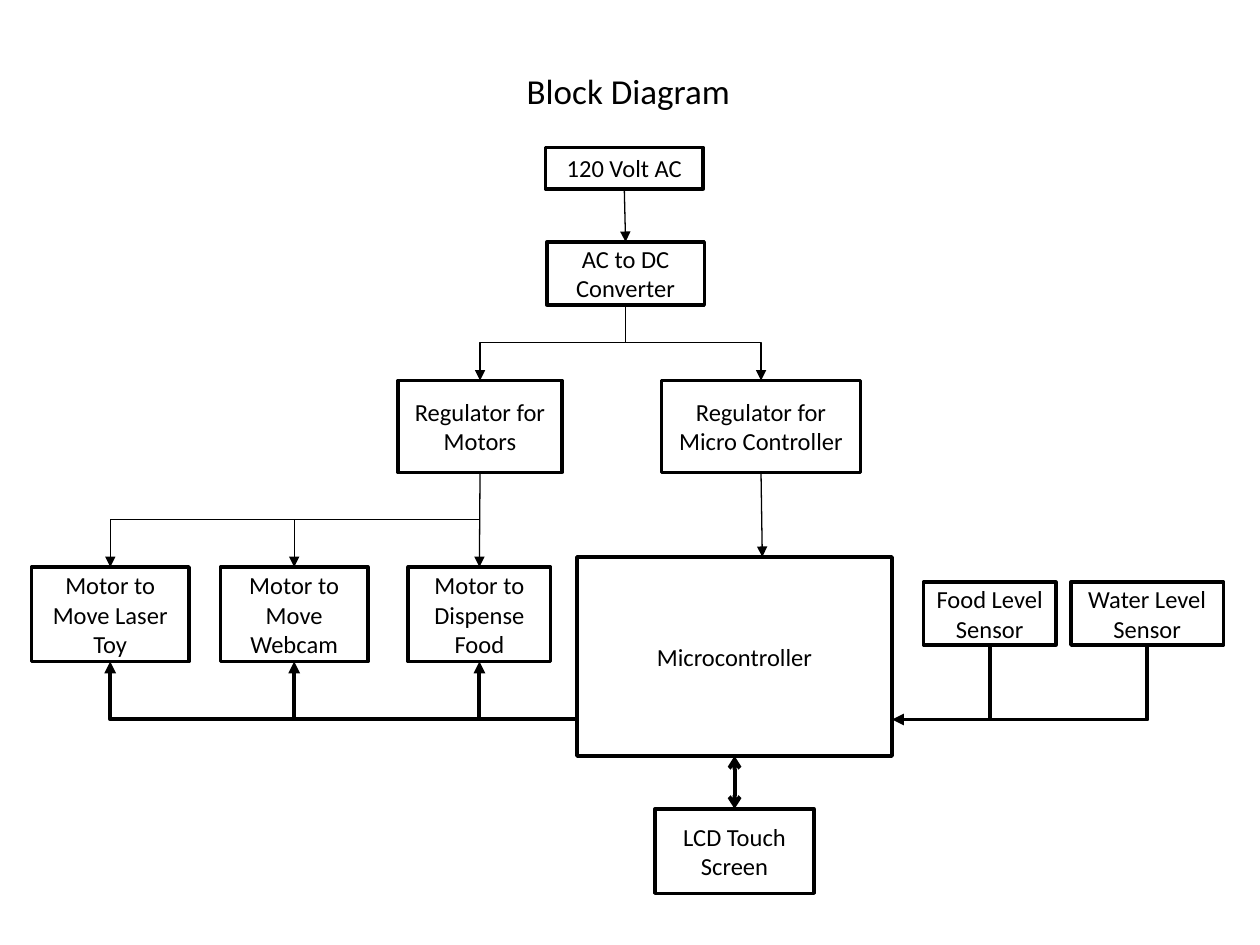
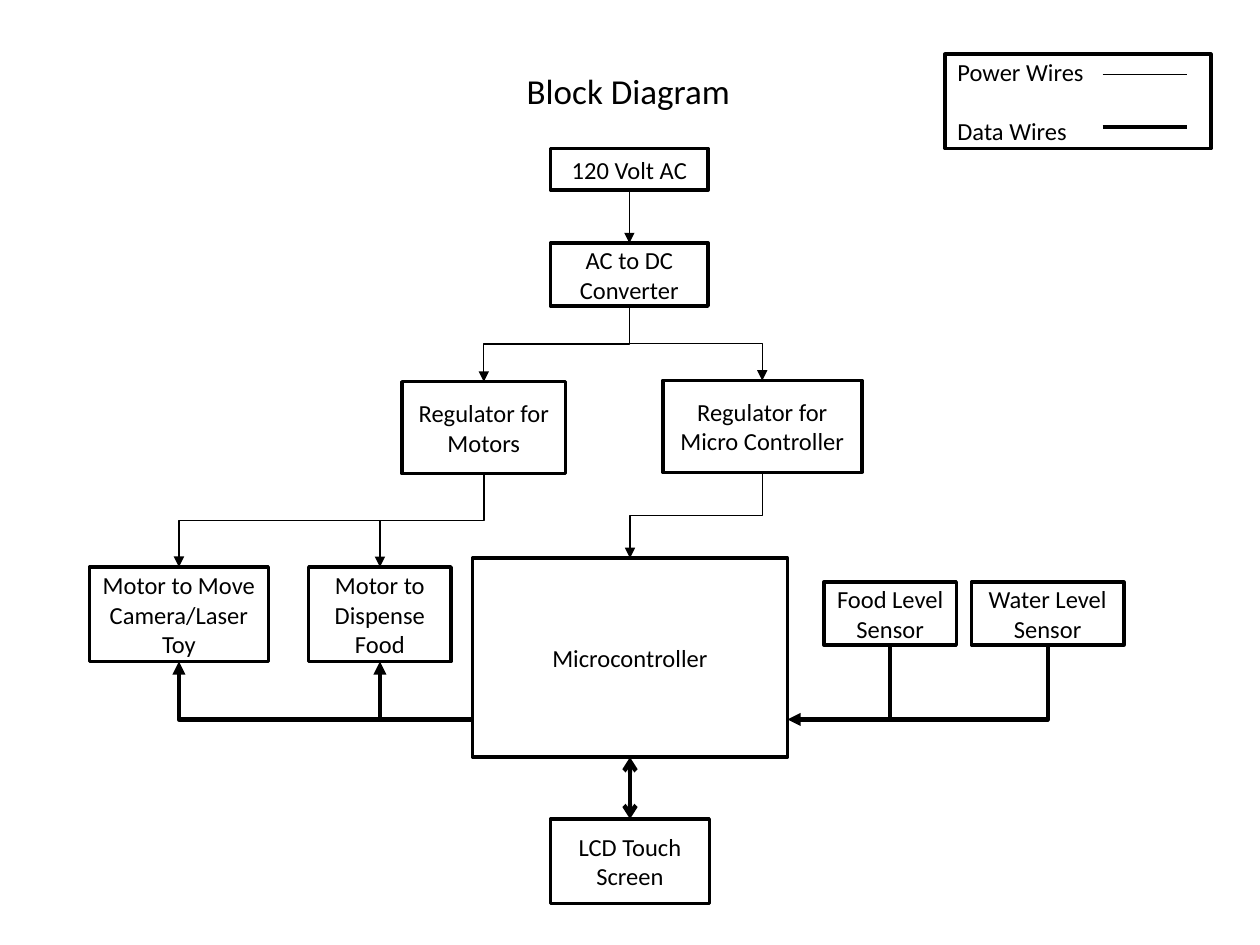
from lxml.etree import SubElement
from pptx import Presentation
from pptx.dml.color import RGBColor
from pptx.enum.shapes import MSO_CONNECTOR as WIRE, MSO_SHAPE
from pptx.enum.text import MSO_ANCHOR, MSO_AUTO_SIZE, PP_ALIGN
from pptx.oxml.ns import qn
from pptx.util import Inches, Pt

BLACK, WHITE = "000000", "FFFFFF"
FONT = "Calibri"
POWER_WIDTH = 0.75
DATA_BUS = 5.71
SUPPLY, CONVERTER, CONTROLLER = "120 Volt AC", "AC to DC Converter", "Microcontroller"
MOTOR_REG, MICRO_REG = "Regulator for Motors", "Regulator for Micro Controller"
FOOD, WATER, SCREEN = "Food Level Sensor", "Water Level Sensor", "LCD Touch Screen"
LASER, WEBCAM, DISPENSER = "Motor to Move Laser Toy", "Motor to Move Webcam", "Motor to Dispense Food"
CAMERA_LASER = "Motor to Move Camera/Laser Toy"

DIAGRAMS = [
    {
        "blocks": {
            SUPPLY: (4.33, 1.17, 1.25, 0.33),
            CONVERTER: (4.34, 1.92, 1.25, 0.5),
            CONTROLLER: (4.58, 4.42, 2.5, 1.58),
            MICRO_REG: (5.25, 3.02, 1.58, 0.73),
            MOTOR_REG: (3.16, 3.02, 1.3, 0.73),
            LASER: (0.25, 4.5, 1.25, 0.75),
            WEBCAM: (1.75, 4.5, 1.17, 0.75),
            DISPENSER: (3.24, 4.5, 1.13, 0.75),
            FOOD: (7.33, 4.62, 1.05, 0.5),
            WATER: (8.5, 4.62, 1.21, 0.5),
            SCREEN: (5.2, 6.42, 1.26, 0.67),
        },
        "motors": [LASER, WEBCAM, DISPENSER],
        "controller_feed": 6.05,
        "data_width": 2.25,
        "legend": None,
    },
    {
        "blocks": {
            SUPPLY: (4.37, 1.18, 1.25, 0.33),
            CONVERTER: (4.37, 1.93, 1.25, 0.5),
            CONTROLLER: (3.75, 4.43, 2.5, 1.58),
            MICRO_REG: (5.26, 3.02, 1.58, 0.73),
            MOTOR_REG: (3.19, 3.03, 1.3, 0.73),
            CAMERA_LASER: (0.71, 4.5, 1.42, 0.75),
            DISPENSER: (2.45, 4.5, 1.13, 0.75),
            FOOD: (6.54, 4.62, 1.05, 0.5),
            WATER: (7.71, 4.62, 1.21, 0.5),
            SCREEN: (4.37, 6.5, 1.26, 0.67),
        },
        "motors": [CAMERA_LASER, DISPENSER],
        "controller_feed": 5,
        "data_width": 2.5,
        "legend": ["Power Wires", "Data Wires"],
    },
]


def color(hex_code):
    """Turn a hex string into a colour."""
    return RGBColor.from_string(hex_code)


def style(paragraph, size, align):
    """Give a paragraph the shared font and its alignment."""
    paragraph.alignment = align
    paragraph.font.name = FONT
    paragraph.font.size = Pt(size)
    paragraph.font.color.rgb = color(BLACK)


def add_title(slide, text):
    """Place and format the title placeholder."""
    title = slide.shapes.title
    title.left, title.top, title.width, title.height = map(Inches, (4.08, 0.5, 1.83, 0.44))
    frame = title.text_frame
    frame.text = text
    frame.word_wrap = False
    frame.auto_size = MSO_AUTO_SIZE.SHAPE_TO_FIT_TEXT
    frame.vertical_anchor = MSO_ANCHOR.TOP
    style(frame.paragraphs[0], 20, PP_ALIGN.LEFT)


def add_block(slide, lines, place, align=PP_ALIGN.CENTER):
    """Draw an outlined block with one paragraph per line."""
    block = slide.shapes.add_shape(MSO_SHAPE.RECTANGLE, *map(Inches, place))
    block.shadow.inherit = False
    block.fill.solid()
    block.fill.fore_color.rgb = color(WHITE)
    block.line.color.rgb = color(BLACK)
    block.line.width = Pt(2)
    frame = block.text_frame
    frame.word_wrap = True
    frame.vertical_anchor = MSO_ANCHOR.MIDDLE
    frame.text = "\n".join(lines)
    for paragraph in frame.paragraphs:
        style(paragraph, 14, align)
    for paragraph in frame.paragraphs[1:]:
        paragraph.space_before = Pt(17)


def finish_wire(wire, width, head, tail):
    """Set line, arrowheads and the empty effect list of a wire."""
    wire.line.color.rgb = color(BLACK)
    wire.line.width = Pt(width)
    line = wire.line._get_or_add_ln()
    for tag, end in (("a:headEnd", head), ("a:tailEnd", tail)):
        if end:
            SubElement(line, qn(tag)).set("type", end)
    SubElement(wire._element.spPr, qn("a:effectLst"))


def add_straight(slide, start, end, width, head=None, tail="triangle"):
    """Draw a straight wire."""
    wire = slide.shapes.add_connector(WIRE.STRAIGHT, *map(Inches, (*start, *end)))
    finish_wire(wire, width, head, tail)


def add_bent(slide, start, end, width, leaving="down", bends=2):
    """Draw an elbow wire that leaves its start down or to the left."""
    (x1, y1), (x2, y2) = start, end
    across, along = abs(x2 - x1), abs(y2 - y1)
    down = leaving == "down"
    w, h = (along, across) if down else (across, along)
    left, top = (x1 + x2 - w) / 2, (y1 + y2 - h) / 2
    mirrored = x2 > x1 if down else y2 > y1
    first, last = (top + h, top) if mirrored else (top, top + h)
    wire = slide.shapes.add_connector(WIRE.ELBOW, *map(Inches, (left, first, left + w, last)))
    properties = wire._element.spPr
    properties.find(qn("a:xfrm")).set("rot", str((90 if down else 180) * 60000))
    properties.find(qn("a:prstGeom")).set("prst", f"bentConnector{bends + 1}")
    finish_wire(wire, width, None, "triangle")


def add_flow(slide, start, end):
    """Draw a power wire downwards, bent only when the ends are apart."""
    draw = add_straight if abs(start[0] - end[0]) < 0.05 else add_bent
    draw(slide, start, end, POWER_WIDTH)


def add_wires(slide, blocks, motors, controller_feed, data_width):
    """Connect the blocks with power and data wires."""
    def top(name):
        x, y, w, _ = blocks[name]
        return x + w / 2, y

    def bottom(name):
        x, y, w, h = blocks[name]
        return x + w / 2, y + h

    for source, target in ((SUPPLY, CONVERTER), (CONVERTER, MICRO_REG), (CONVERTER, MOTOR_REG)):
        add_flow(slide, bottom(source), top(target))
    box_left, box_top, box_width, _ = blocks[CONTROLLER]
    add_flow(slide, bottom(MICRO_REG), (controller_feed, box_top))

    far, *near = motors
    source = bottom(MOTOR_REG)
    power_bus = (source[1] + top(far)[1]) / 2
    trunk = top(near[-1])
    taps = near
    if abs(trunk[0] - source[0]) < 0.05:
        add_flow(slide, source, trunk)
        add_bent(slide, (trunk[0], power_bus), top(far), POWER_WIDTH, "left", 1)
        taps = near[:-1]
    else:
        add_flow(slide, source, top(far))
    for motor in taps:
        add_straight(slide, (top(motor)[0], power_bus), top(motor), POWER_WIDTH)

    add_bent(slide, (box_left, DATA_BUS), bottom(far), data_width, "left", 1)
    for motor in near:
        add_straight(slide, (bottom(motor)[0], DATA_BUS), bottom(motor), data_width)
    add_bent(slide, bottom(WATER), (box_left + box_width, DATA_BUS), data_width, "down", 1)
    add_straight(slide, bottom(FOOD), (bottom(FOOD)[0], DATA_BUS), data_width, tail=None)
    add_straight(slide, top(SCREEN), bottom(CONTROLLER), data_width, "arrow", "arrow")


def add_legend(slide, labels, data_width):
    """Draw the key to the wire widths."""
    add_block(slide, labels, (7.5, 0.43, 2.11, 0.75), PP_ALIGN.LEFT)
    for y, width in ((0.59, POWER_WIDTH), (1.01, data_width)):
        add_straight(slide, (8.75, y), (9.42, y), width, tail=None)


deck = Presentation()
deck.slide_width, deck.slide_height = Inches(10), Inches(7.5)
for diagram in DIAGRAMS:
    page = deck.slides.add_slide(deck.slide_layouts[5])
    add_title(page, "Block Diagram")
    for label, place in diagram["blocks"].items():
        add_block(page, [label], place)
    add_wires(page, diagram["blocks"], diagram["motors"], diagram["controller_feed"], diagram["data_width"])
    if diagram["legend"]:
        add_legend(page, diagram["legend"], diagram["data_width"])
deck.save("out.pptx")
